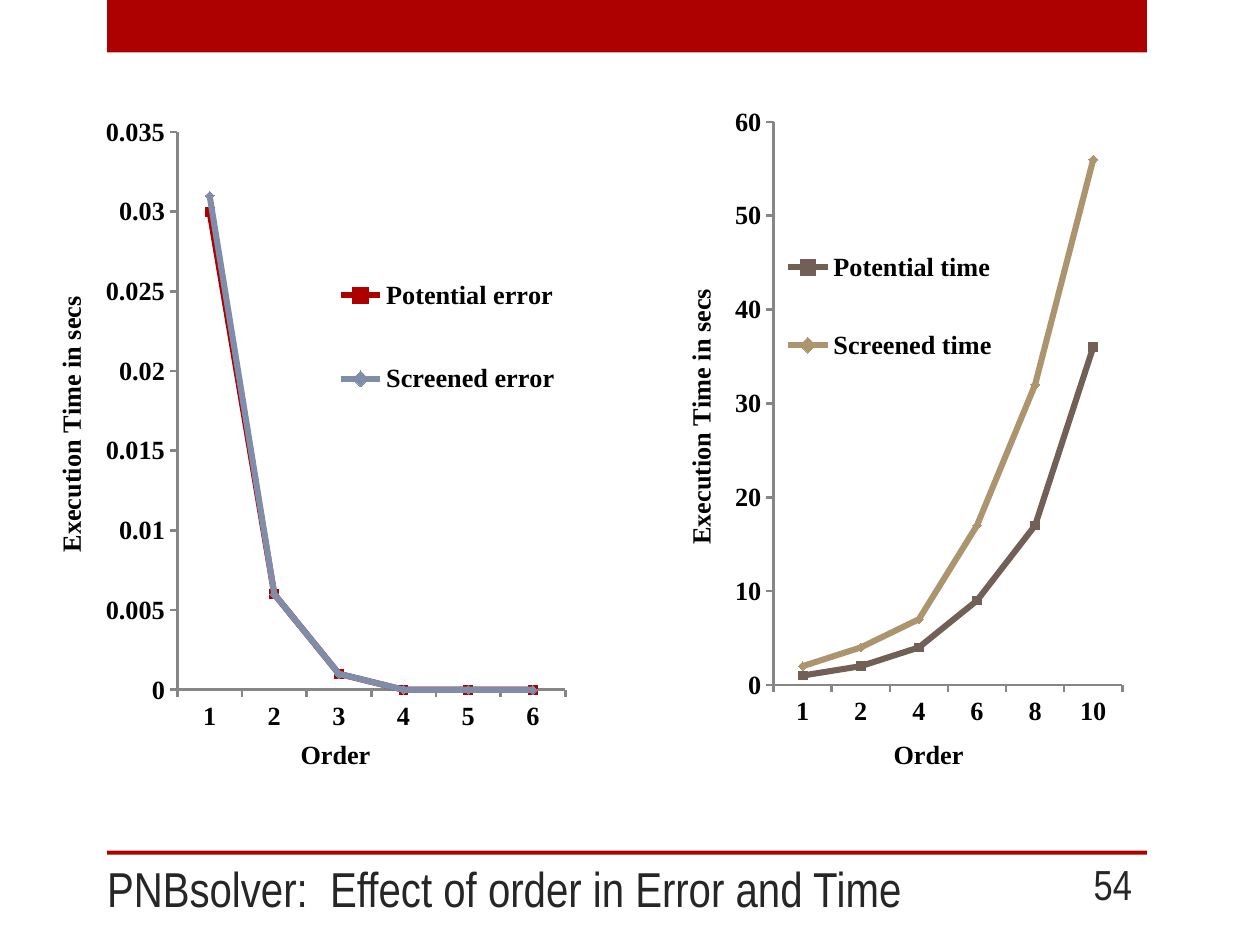
from dataclasses import dataclass

from lxml import etree
from pptx import Presentation
from pptx.chart.data import CategoryChartData
from pptx.dml.color import RGBColor
from pptx.enum.chart import XL_CHART_TYPE, XL_LEGEND_POSITION, XL_MARKER_STYLE, XL_TICK_MARK
from pptx.enum.shapes import MSO_SHAPE
from pptx.enum.text import MSO_ANCHOR, PP_ALIGN
from pptx.oxml.ns import qn
from pptx.util import Cm, Pt

LINE_MARKERS = XL_CHART_TYPE.LINE_MARKERS
LEGEND_RIGHT = XL_LEGEND_POSITION.RIGHT
MARKERS = (XL_MARKER_STYLE.SQUARE, XL_MARKER_STYLE.DIAMOND)
TICK_OUT = XL_TICK_MARK.OUTSIDE
RECTANGLE = MSO_SHAPE.RECTANGLE
BOTTOM, MIDDLE = MSO_ANCHOR.BOTTOM, MSO_ANCHOR.MIDDLE
LEFT, RIGHT = PP_ALIGN.LEFT, PP_ALIGN.RIGHT


@dataclass(frozen=True)
class Theme:
    red: str = "AD0101"
    text: str = "262626"
    black: str = "000000"
    axis: str = "868686"
    slide_font: str = "Arial Narrow"
    chart_font: str = "Times New Roman"
    title_size: float = 28
    number_size: float = 24
    chart_size: float = 15
    series_width: float = 3.5
    axis_width: float = 1.5
    marker_size: int = 5


THEME = Theme()


@dataclass(frozen=True)
class Box:
    """A rectangle: centimetres on the slide, fractions inside a chart."""
    x: float
    y: float
    w: float
    h: float

    def lengths(self) -> tuple:
        return Cm(self.x), Cm(self.y), Cm(self.w), Cm(self.h)


@dataclass(frozen=True)
class Series:
    name: str
    color: str
    values: tuple


@dataclass(frozen=True)
class LineChart:
    box: Box
    plot: Box
    legend: Box
    categories: tuple
    maximum: float
    step: float
    series: tuple


BARS = (Box(2.16, 0, 20.96, 1.06), Box(2.16, 17.15, 20.96, 0.08))

CHARTS = (
    LineChart(
        box=Box(0.85, 2.12, 11.85, 13.55),
        plot=Box(0.23, 0.04, 0.66, 0.83),
        legend=Box(0.49, 0.18, 0.4, 0.33),
        categories=("1", "2", "3", "4", "5", "6"),
        maximum=0.035,
        step=0.005,
        series=(
            Series("Potential error", "AD0101", (0.03, 0.006, 0.001, 0, 0, 0)),
            Series("Screened error", "808DA9", (0.031, 0.006, 0.001, 0, 0, 0)),
        ),
    ),
    LineChart(
        box=Box(12.91, 1.91, 11.43, 13.76),
        plot=Box(0.235, 0.04, 0.615, 0.825),
        legend=Box(0.25, 0.16, 0.38, 0.3),
        categories=("1", "2", "4", "6", "8", "10"),
        maximum=60,
        step=10,
        series=(
            Series("Potential time", "726056", (1, 2, 4, 9, 17, 36)),
            Series("Screened time", "AC956E", (2, 4, 7, 17, 32, 56)),
        ),
    ),
)


def style_font(font, size: float, color: str, name: str, bold: bool = False) -> None:
    font.size, font.name, font.bold = Pt(size), name, bold
    font.color.rgb = RGBColor.from_string(color)


def write(tf, text: str, *, size: float, color: str = THEME.text,
          name: str = THEME.slide_font, bold: bool = False, align=None) -> None:
    p = tf.paragraphs[0]
    p.alignment = align
    r = p.add_run()
    r.text = text
    style_font(r.font, size, color, name, bold)


def add_bar(slide, box: Box) -> None:
    sp = slide.shapes.add_shape(RECTANGLE, *box.lengths())
    sp.shadow.inherit = False
    sp.fill.solid()
    sp.fill.fore_color.rgb = RGBColor.from_string(THEME.red)
    sp.line.fill.background()


def add_text(slide, box: Box, text: str, anchor, **style) -> None:
    tf = slide.shapes.add_textbox(*box.lengths()).text_frame
    tf.word_wrap = True
    tf.vertical_anchor = anchor
    write(tf, text, **style)


def set_layout(layout, box: Box, inner: bool = False) -> None:
    """Fix the place of a chart part as fractions of the chart."""
    for child in list(layout):
        layout.remove(child)
    manual = etree.SubElement(layout, qn("c:manualLayout"))
    values = [("layoutTarget", "inner")] if inner else []
    values += [("xMode", "edge"), ("yMode", "edge")]
    values += [(key, getattr(box, key)) for key in "xywh"]
    for tag, value in values:
        etree.SubElement(manual, qn(f"c:{tag}")).set("val", str(value))


def style_axis(axis, title: str) -> None:
    axis.has_major_gridlines = False
    axis.major_tick_mark = TICK_OUT
    axis.format.line.width = Pt(THEME.axis_width)
    axis.format.line.color.rgb = RGBColor.from_string(THEME.axis)
    style_font(axis.tick_labels.font, THEME.chart_size, THEME.black, THEME.chart_font, True)
    write(axis.axis_title.text_frame, title, size=THEME.chart_size,
          color=THEME.black, name=THEME.chart_font, bold=True)


def style_series(line, color: str, marker) -> None:
    rgb = RGBColor.from_string(color)
    line.smooth = False
    line.format.line.width = Pt(THEME.series_width)
    line.format.line.color.rgb = rgb
    line.marker.style = marker
    line.marker.size = THEME.marker_size
    line.marker.format.fill.solid()
    line.marker.format.fill.fore_color.rgb = rgb
    line.marker.format.line.color.rgb = rgb


def add_line_chart(slide, spec: LineChart) -> None:
    data = CategoryChartData(number_format="General")
    data.categories = spec.categories
    for series in spec.series:
        data.add_series(series.name, series.values)
    chart = slide.shapes.add_chart(LINE_MARKERS, *spec.box.lengths(), data).chart
    chart.has_title = False
    style_font(chart.font, THEME.chart_size, THEME.black, THEME.chart_font)

    plot = chart.plots[0]
    plot.vary_by_categories = False
    for line, series, marker in zip(plot.series, spec.series, MARKERS):
        style_series(line, series.color, marker)

    style_axis(chart.category_axis, "Order")
    style_axis(chart.value_axis, "Execution Time in secs")
    chart.value_axis.minimum_scale = 0
    chart.value_axis.maximum_scale = spec.maximum
    chart.value_axis.major_unit = spec.step

    chart.has_legend = True
    legend = chart.legend
    legend.position = LEGEND_RIGHT
    legend.include_in_layout = False
    style_font(legend.font, THEME.chart_size, THEME.black, THEME.chart_font, True)

    plot_area = chart.element.find(f".//{qn('c:plotArea')}")
    plot_layout = plot_area.find(qn("c:layout"))
    if plot_layout is None:
        plot_layout = etree.Element(qn("c:layout"))
        plot_area.insert(0, plot_layout)
    set_layout(plot_layout, spec.plot, inner=True)
    legend_element = chart.element.find(f".//{qn('c:legend')}")
    legend_layout = legend_element.find(qn("c:layout"))
    if legend_layout is None:
        legend_layout = etree.Element(qn("c:layout"))
        legend_element.find(qn("c:legendPos")).addnext(legend_layout)
    set_layout(legend_layout, spec.legend)


def main() -> None:
    prs = Presentation()
    prs.slide_width, prs.slide_height = Cm(25.4), Cm(19.05)
    s = prs.slides.add_slide(prs.slide_layouts[6])
    for bar in BARS:
        add_bar(s, bar)
    add_text(s, Box(1.91, 17.15, 18.85, 1.47), "PNBsolver:  Effect of order in Error and Time",
             BOTTOM, size=THEME.title_size, align=LEFT)
    add_text(s, Box(20.96, 17.35, 2.11, 0.94), "54", MIDDLE, size=THEME.number_size, align=RIGHT)
    for chart in CHARTS:
        add_line_chart(s, chart)
    prs.save("out.pptx")


if __name__ == "__main__":
    main()
